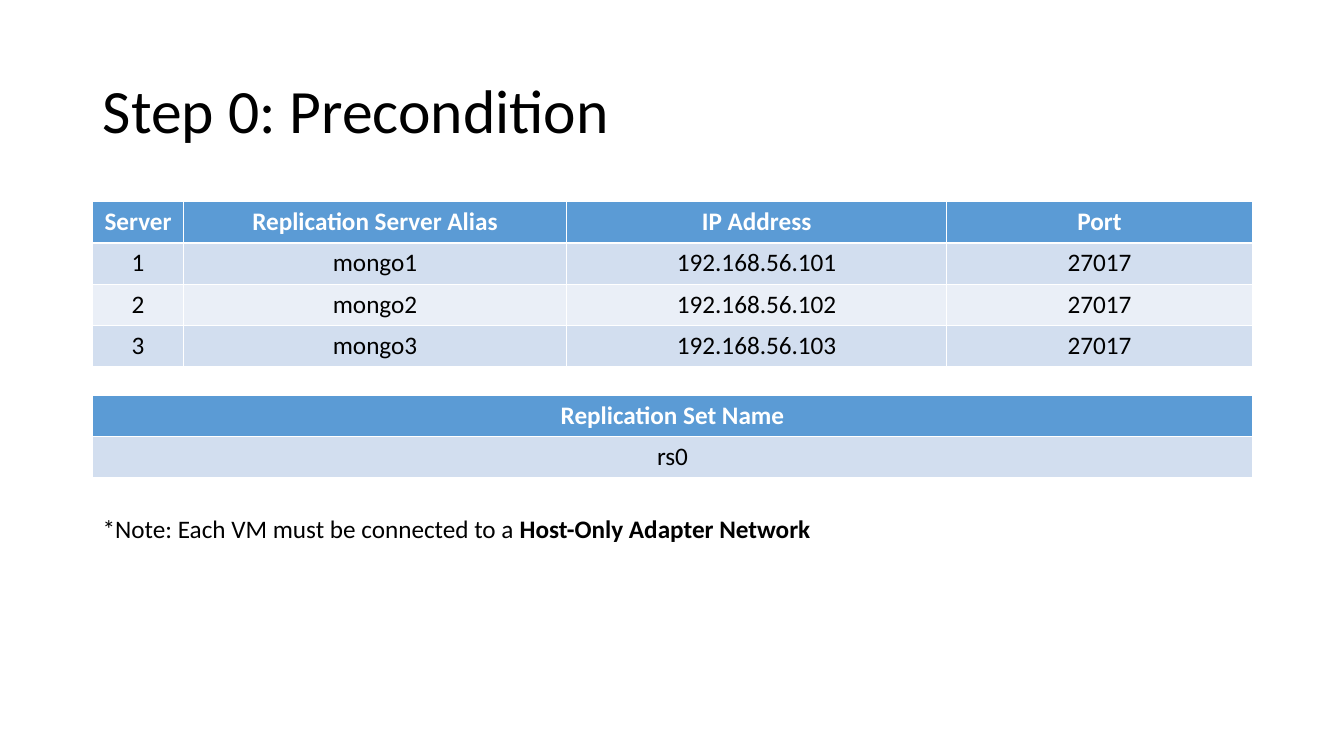
"""Build the precondition slide with its server and replication set tables."""
from dataclasses import dataclass

from pptx import Presentation
from pptx.dml.color import RGBColor
from pptx.enum.text import MSO_ANCHOR, PP_ALIGN
from pptx.util import Inches, Pt

LEFT, CENTER = PP_ALIGN.LEFT, PP_ALIGN.CENTER
MIDDLE = MSO_ANCHOR.MIDDLE
FONT = "Calibri"
BLACK = RGBColor(0x00, 0x00, 0x00)
WHITE = RGBColor(0xFF, 0xFF, 0xFF)
HEADER = RGBColor(0x5B, 0x9B, 0xD5)
BANDS = (RGBColor(0xD2, 0xDE, 0xEF), RGBColor(0xEA, 0xEF, 0xF7))
MARGIN, WIDTH, ROW_HEIGHT = 0.92, 11.5, 0.41


@dataclass
class TableSpec:
    top: float
    widths: list[float]
    rows: list[list[str]]


TABLES = [
    TableSpec(2, [0.9, 3.8, 3.77, 3.03], [
        ["Server", "Replication Server Alias", "IP Address", "Port"],
        *([str(n), f"mongo{n}", f"192.168.56.{100 + n}", "27017"] for n in range(1, 4)),
    ]),
    TableSpec(3.92, [WIDTH], [["Replication Set Name"], ["rs0"]]),
]


def add_run(p, text: str, size: float = 18, bold: bool = False,
            color: RGBColor = BLACK, align: PP_ALIGN = LEFT) -> None:
    p.alignment = align
    r = p.add_run()
    r.text = text
    r.font.name = FONT
    r.font.size = Pt(size)
    r.font.bold = bold
    r.font.color.rgb = color


def add_title(s, text: str) -> None:
    title = s.shapes.title
    title.left, title.top = Inches(MARGIN), Inches(0.4)
    title.width, title.height = Inches(WIDTH), Inches(1.45)
    tf = title.text_frame
    tf.vertical_anchor = MIDDLE
    p = tf.paragraphs[0]
    p.line_spacing = 0.9
    add_run(p, text, size=44)


def add_table(s, spec: TableSpec) -> None:
    count = len(spec.rows)
    table = s.shapes.add_table(
        count, len(spec.widths), Inches(MARGIN), Inches(spec.top),
        Inches(WIDTH), Inches(ROW_HEIGHT * count)).table
    for column, width in zip(table.columns, spec.widths):
        column.width = Inches(width)
    for i, texts in enumerate(spec.rows):
        table.rows[i].height = Inches(ROW_HEIGHT)
        is_header = i == 0
        for j, text in enumerate(texts):
            cell = table.cell(i, j)
            cell.fill.solid()
            cell.fill.fore_color.rgb = HEADER if is_header else BANDS[(i - 1) % 2]
            add_run(cell.text_frame.paragraphs[0], text, bold=is_header,
                    color=WHITE if is_header else BLACK, align=CENTER)


def add_note(s, text: str, emphasis: str) -> None:
    box = s.shapes.add_textbox(Inches(MARGIN), Inches(5.04), Inches(WIDTH), Inches(0.4))
    tf = box.text_frame
    tf.word_wrap = True
    p = tf.paragraphs[0]
    add_run(p, text)
    add_run(p, emphasis, bold=True)


def main() -> None:
    prs = Presentation()
    prs.slide_width, prs.slide_height = Inches(13.33), Inches(7.5)
    s = prs.slides.add_slide(prs.slide_layouts[5])
    add_title(s, "Step 0: Precondition")
    for spec in TABLES:
        add_table(s, spec)
    add_note(s, "*Note: Each VM must be connected to a ", "Host-Only Adapter Network")
    prs.save("out.pptx")


if __name__ == "__main__":
    main()
